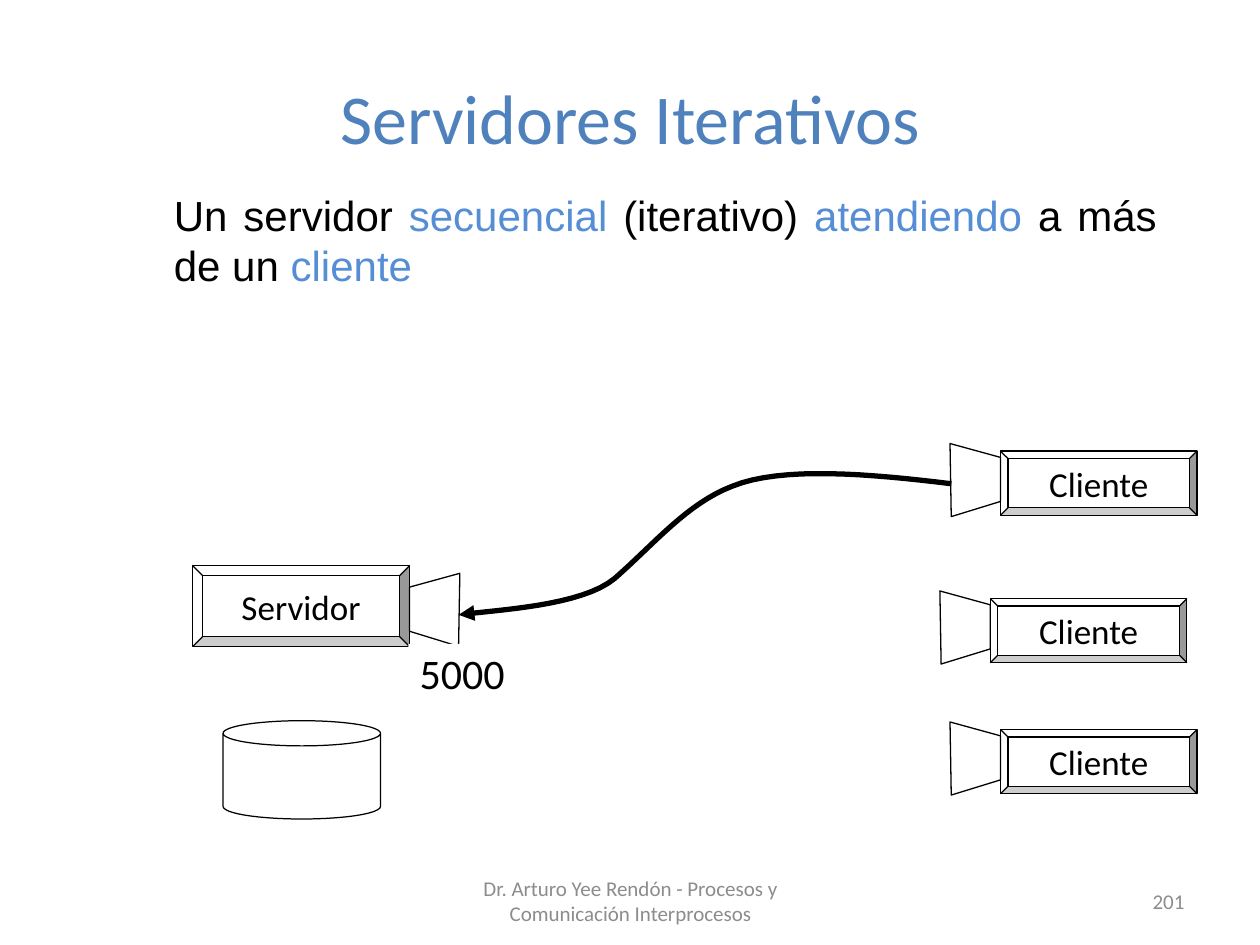
from lxml import etree
from pptx import Presentation
from pptx.dml.color import RGBColor
from pptx.enum.shapes import MSO_CONNECTOR, MSO_SHAPE
from pptx.enum.text import MSO_ANCHOR, MSO_AUTO_SIZE, PP_ALIGN
from pptx.oxml.ns import qn
from pptx.util import Inches, Pt

BLACK = RGBColor(0x00, 0x00, 0x00)
WHITE = RGBColor(0xFF, 0xFF, 0xFF)
TITLE_BLUE = RGBColor(0x4F, 0x81, 0xBD)
KEYWORD_BLUE = RGBColor(0x55, 0x8E, 0xD5)
FOOTER_GREY = RGBColor(0x8C, 0x8C, 0x8C)
BOTTOM_SHADE = RGBColor(0xCD, 0xCD, 0xCD)
RIGHT_SHADE = RGBColor(0x99, 0x99, 0x99)
HAIRLINE = Pt(0.72)


def place(shape, left, top, width, height):
    shape.left, shape.top = Inches(left), Inches(top)
    shape.width, shape.height = Inches(width), Inches(height)


def style_frame(frame, anchor=MSO_ANCHOR.TOP, margins=(0, 0, 0, 0)):
    """Wrap the text and set its left, top, right and bottom margins."""
    frame.word_wrap = True
    frame.auto_size = MSO_AUTO_SIZE.NONE
    frame.vertical_anchor = anchor
    frame.margin_left, frame.margin_top, frame.margin_right, frame.margin_bottom = map(Inches, margins)


def style_font(font, size, color, name="Calibri"):
    font.size, font.name, font.color.rgb = Pt(size), name, color


def write(frame, text, size, color, align=PP_ALIGN.CENTER):
    frame.text = text
    paragraph = frame.paragraphs[0]
    paragraph.alignment = align
    style_font(paragraph.runs[0].font, size, color)


def paint(shape, fill=None, line=None, width=HAIRLINE):
    shape.shadow.inherit = False
    if fill is None:
        shape.fill.background()
    else:
        shape.fill.solid()
        shape.fill.fore_color.rgb = fill
    if line is None:
        shape.line.fill.background()
    else:
        shape.line.color.rgb = line
        shape.line.width = width


def add_outline(slide, points, close=True):
    """Add a freeform through points given in inches."""
    start, *others = [(Inches(x), Inches(y)) for x, y in points]
    builder = slide.shapes.build_freeform(*start, scale=1.0)
    builder.add_line_segments(others, close=close)
    return builder.convert_to_shape()


def add_title(slide, left, top, width, height):
    title = slide.shapes.title
    place(title, left, top, width, height)
    style_frame(title.text_frame, MSO_ANCHOR.MIDDLE)
    write(title.text_frame, "Servidores Iterativos", 40, TITLE_BLUE)


def add_statement(slide, left, top, width, height):
    body = slide.placeholders[1]
    place(body, left, top, width, height)
    style_frame(body.text_frame)
    paragraph = body.text_frame.paragraphs[0]
    paragraph.alignment = PP_ALIGN.JUSTIFY
    paragraph.space_before = Pt(0)
    properties = paragraph._p.get_or_add_pPr()
    properties.set("marL", str(Inches(0.01)))
    properties.set("indent", "0")
    etree.SubElement(properties, qn("a:buNone"))
    for phrase, color in (
        ("Un servidor ", BLACK),
        ("secuencial ", KEYWORD_BLUE),
        ("(iterativo) ", BLACK),
        ("atendiendo ", KEYWORD_BLUE),
        ("a más de un ", BLACK),
        ("cliente", KEYWORD_BLUE),
    ):
        run = paragraph.add_run()
        run.text = phrase
        style_font(run.font, 24, color, "Arial")


def add_beveled_box(slide, label, left, top, width, height, bevel):
    right, bottom = left + width, top + height
    outer = [(left, top), (right, top), (right, bottom), (left, bottom)]
    inner = [
        (left + bevel, top + bevel),
        (right - bevel, top + bevel),
        (right - bevel, bottom - bevel),
        (left + bevel, bottom - bevel),
    ]
    for first, second, shade in ((2, 3, BOTTOM_SHADE), (3, 0, WHITE), (1, 2, RIGHT_SHADE)):
        facet = add_outline(slide, [outer[first], outer[second], inner[second], inner[first]])
        paint(facet, fill=shade)
    paint(add_outline(slide, outer), line=BLACK)
    for (x1, y1), (x2, y2) in zip(outer, inner):
        edge = slide.shapes.add_connector(
            MSO_CONNECTOR.STRAIGHT, Inches(x1), Inches(y1), Inches(x2), Inches(y2))
        edge.line.color.rgb = BLACK
        edge.line.width = HAIRLINE
        etree.SubElement(edge._element.spPr, qn("a:effectLst"))
    face = slide.shapes.add_shape(
        MSO_SHAPE.RECTANGLE, Inches(left + bevel), Inches(top + bevel),
        Inches(width - 2 * bevel), Inches(height - 2 * bevel))
    paint(face, line=BLACK)
    style_frame(face.text_frame, MSO_ANCHOR.MIDDLE)
    write(face.text_frame, label, 20, BLACK)


def add_socket(slide, edge, top, direction):
    """Flare out from a box edge: direction is 1 to the right, -1 to the left."""
    socket = add_outline(slide, [
        (edge + direction * 0.4, top),
        (edge + direction * 0.39, top + 0.58),
        (edge, top + 0.46),
        (edge, top + 0.11),
    ])
    paint(socket, line=BLACK, width=Pt(0.75))


def add_server(slide, left, top, width, height):
    add_beveled_box(slide, "Servidor", left, top, width, height, 0.08)
    add_socket(slide, left + width, top + 0.06, 1)


def add_client(slide, left, top, width, height):
    add_beveled_box(slide, "Cliente", left, top, width, height, 0.06)
    add_socket(slide, left, top - 0.06, -1)


def add_storage(slide, left, top, width, height):
    storage = slide.shapes.add_shape(
        MSO_SHAPE.CAN, Inches(left), Inches(top), Inches(width), Inches(height))
    storage.adjustments[0] = 0.2 / height
    paint(storage, line=BLACK)


def bezier_point(curve, t):
    weights = ((1 - t) ** 3, 3 * t * (1 - t) ** 2, 3 * t ** 2 * (1 - t), t ** 3)
    return tuple(sum(w * point[axis] for w, point in zip(weights, curve)) for axis in (0, 1))


def add_connection(slide, client_end, server_end):
    (x1, y1), (x2, y2) = client_end, server_end
    upper, lower = (x1 - 1.74, y1 + 0.02), (x2 + 1.24, y2 - 0.29)
    curves = (
        (client_end, (x1 - 0.65, y1 - 0.08), (x1 - 1.35, y1 - 0.14), upper),
        (upper, (x1 - 2.1, y1 + 0.16), (x2 + 1.56, y2 - 0.57), lower),
        (lower, (x2 + 0.98, y2 - 0.07), (x2 + 0.31, y2 - 0.04), server_end),
    )
    steps = 16
    points = [client_end] + [
        bezier_point(curve, step / steps) for curve in curves for step in range(1, steps + 1)]
    cable = add_outline(slide, points, close=False)
    paint(cable, line=BLACK, width=Pt(3))
    etree.SubElement(cable.line._get_or_add_ln(), qn("a:tailEnd"), type="triangle", w="med", len="med")


def add_text_box(slide, box, text, size, color, align, anchor, margins):
    text_box = slide.shapes.add_textbox(*map(Inches, box))
    style_frame(text_box.text_frame, anchor, margins)
    write(text_box.text_frame, text, size, color, align)
    return text_box


def add_port_label(slide, *box):
    port = add_text_box(slide, box, "5000", 24, BLACK, PP_ALIGN.LEFT, MSO_ANCHOR.TOP, (0.09, 0.03, 0, 0))
    paint(port, fill=WHITE)


def add_footer(slide, top, height):
    for left, width, text, align in (
        (3.42, 3.17, "Dr. Arturo Yee Rendón - Procesos y Comunicación Interprocesos", PP_ALIGN.CENTER),
        (7.17, 2.33, "201", PP_ALIGN.RIGHT),
    ):
        add_text_box(slide, (left, top, width, height), text, 12, FOOTER_GREY,
                     align, MSO_ANCHOR.MIDDLE, (0.1, 0.05, 0.1, 0.05))


def main():
    presentation = Presentation()
    presentation.slide_width, presentation.slide_height = Inches(10), Inches(7.5)
    slide = presentation.slides.add_slide(presentation.slide_layouts[1])
    add_title(slide, 0.5, 0.59, 9, 0.67)
    add_statement(slide, 1.37, 1.5, 7.81, 0.81)
    add_server(slide, 1.53, 4.49, 1.72, 0.64)
    for left, top in ((7.86, 4.75), (7.94, 5.79), (7.94, 3.58)):
        add_client(slide, left, top, 1.56, 0.51)
    add_storage(slide, 1.77, 5.72, 1.25, 0.78)
    add_connection(slide, (7.55, 3.84), (3.64, 4.88))
    add_port_label(slide, 3.24, 5.11, 0.88, 0.51)
    add_footer(slide, 6.95, 0.4)
    presentation.save("out.pptx")


if __name__ == "__main__":
    main()
